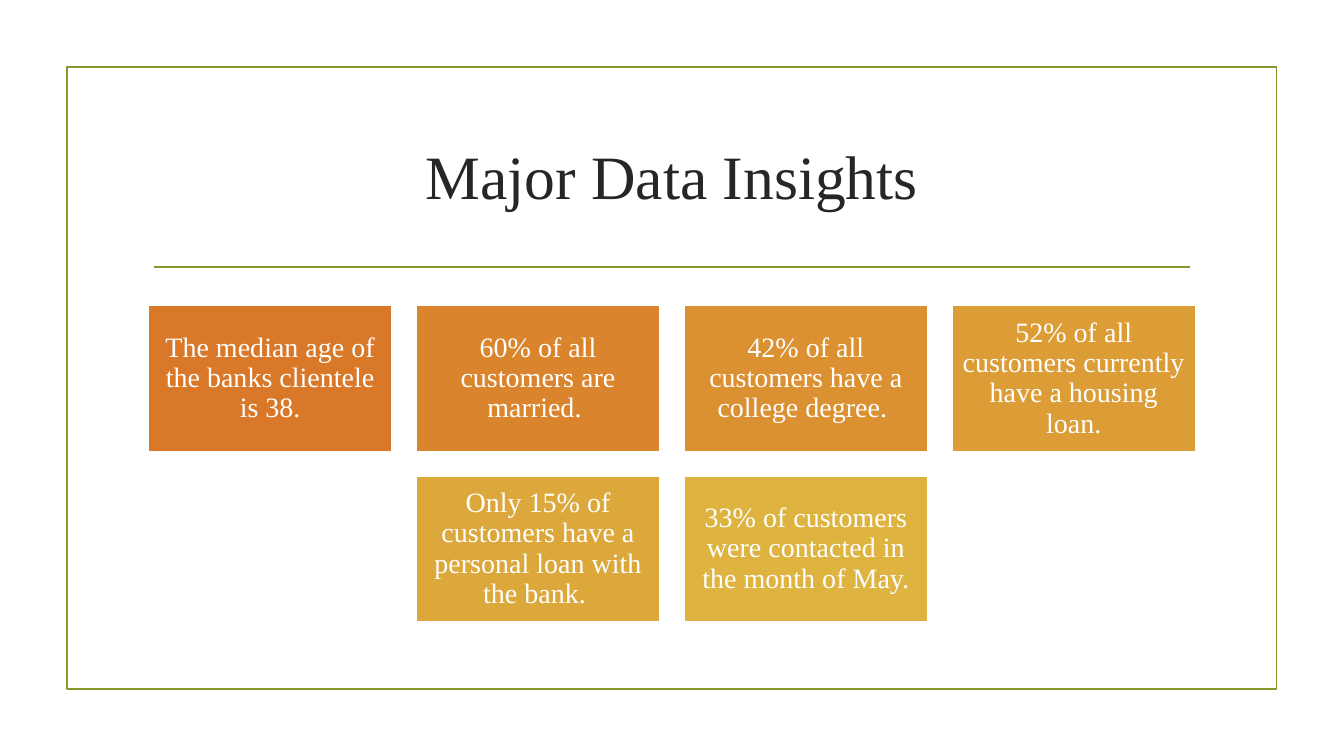
import pptx
import pptx.dml.color
import pptx.enum.shapes
import pptx.enum.text
import pptx.oxml.ns
import pptx.util
from lxml import etree
from pptx.dml.color import RGBColor
from pptx.util import Cm

FONT = "Times New Roman"
GREEN = RGBColor(0x83, 0x99, 0x2A)
DARK = RGBColor(0x26, 0x26, 0x26)
WHITE = RGBColor(0xFF, 0xFF, 0xFF)

SLIDE_WIDTH = Cm(33.87)
SLIDE_HEIGHT = Cm(19.05)
CARD_WIDTH = Cm(6.14)
CARD_HEIGHT = Cm(3.68)
CARD_GAP = Cm(0.61)
CARDS_TOP = Cm(7.7)
CARD_INSET = Cm(0.2)
LINE_WIDTH = pptx.util.Pt(1.25)

# Each row of cards holds pairs of text and fill
CARD_ROWS = [
    [
        ("The median age of the banks clientele is 38.", RGBColor(0xD9, 0x78, 0x28)),
        ("60% of all customers are married. ", RGBColor(0xDA, 0x85, 0x2D)),
        ("42% of all customers have a college degree. ", RGBColor(0xDB, 0x91, 0x32)),
        ("52% of all customers currently have a housing loan.", RGBColor(0xDC, 0x9D, 0x36)),
    ],
    [
        ("Only 15% of customers have a personal loan with the bank. ", RGBColor(0xDD, 0xA8, 0x3B)),
        ("33% of customers were contacted in the month of May.", RGBColor(0xDE, 0xB3, 0x40)),
    ],
]


def add_rectangle(slide, left, top, width, height, fill, line):
    shape = slide.shapes.add_shape(
        pptx.enum.shapes.MSO_SHAPE.RECTANGLE, left, top, width, height)
    shape.shadow.inherit = False
    if fill is None:
        shape.fill.background()
    else:
        shape.fill.solid()
        shape.fill.fore_color.rgb = fill
    shape.line.color.rgb = line
    shape.line.width = LINE_WIDTH
    return shape


def add_rule(slide, left, right, top):
    connector = slide.shapes.add_connector(
        pptx.enum.shapes.MSO_CONNECTOR.STRAIGHT, left, top, right, top)
    connector.line.color.rgb = GREEN
    connector.line.width = LINE_WIDTH
    properties = connector._element.spPr
    etree.SubElement(properties, pptx.oxml.ns.qn("a:effectLst"))


def write_centred(shape, text, size, color):
    frame = shape.text_frame
    frame.word_wrap = True
    frame.vertical_anchor = pptx.enum.text.MSO_ANCHOR.MIDDLE
    paragraph = frame.paragraphs[0]
    paragraph.text = text
    paragraph.alignment = pptx.enum.text.PP_ALIGN.CENTER
    paragraph.line_spacing = 0.9
    paragraph.font.name = FONT
    paragraph.font.size = pptx.util.Pt(size)
    paragraph.font.color.rgb = color


def add_card(slide, left, top, text, fill):
    card = add_rectangle(slide, left, top, CARD_WIDTH, CARD_HEIGHT, fill, WHITE)
    frame = card.text_frame
    frame.margin_left = frame.margin_right = CARD_INSET
    frame.margin_top = frame.margin_bottom = CARD_INSET
    write_centred(card, text, 20, WHITE)


def add_card_row(slide, top, cards):
    row_width = len(cards) * (CARD_WIDTH + CARD_GAP) - CARD_GAP
    row_left = (SLIDE_WIDTH - row_width) // 2
    for column, (text, fill) in enumerate(cards):
        left = row_left + column * (CARD_WIDTH + CARD_GAP)
        add_card(slide, left, top, text, fill)


def main():
    presentation = pptx.Presentation()
    presentation.slide_width = SLIDE_WIDTH
    presentation.slide_height = SLIDE_HEIGHT
    slide = presentation.slides.add_slide(presentation.slide_layouts[6])

    # Frame and rule
    add_rectangle(slide, Cm(1.69), Cm(1.69), Cm(30.48), Cm(15.67), None, GREEN)
    add_rule(slide, Cm(3.89), Cm(30), Cm(6.73))

    # Title
    title = slide.shapes.add_textbox(Cm(3.6), Cm(2.72), Cm(26.67), Cm(3.63))
    write_centred(title, "Major Data Insights", 44, DARK)

    # Cards, each row centred on the slide
    for row, cards in enumerate(CARD_ROWS):
        add_card_row(slide, CARDS_TOP + row * (CARD_HEIGHT + CARD_GAP), cards)

    presentation.save("out.pptx")


if __name__ == "__main__":
    main()
